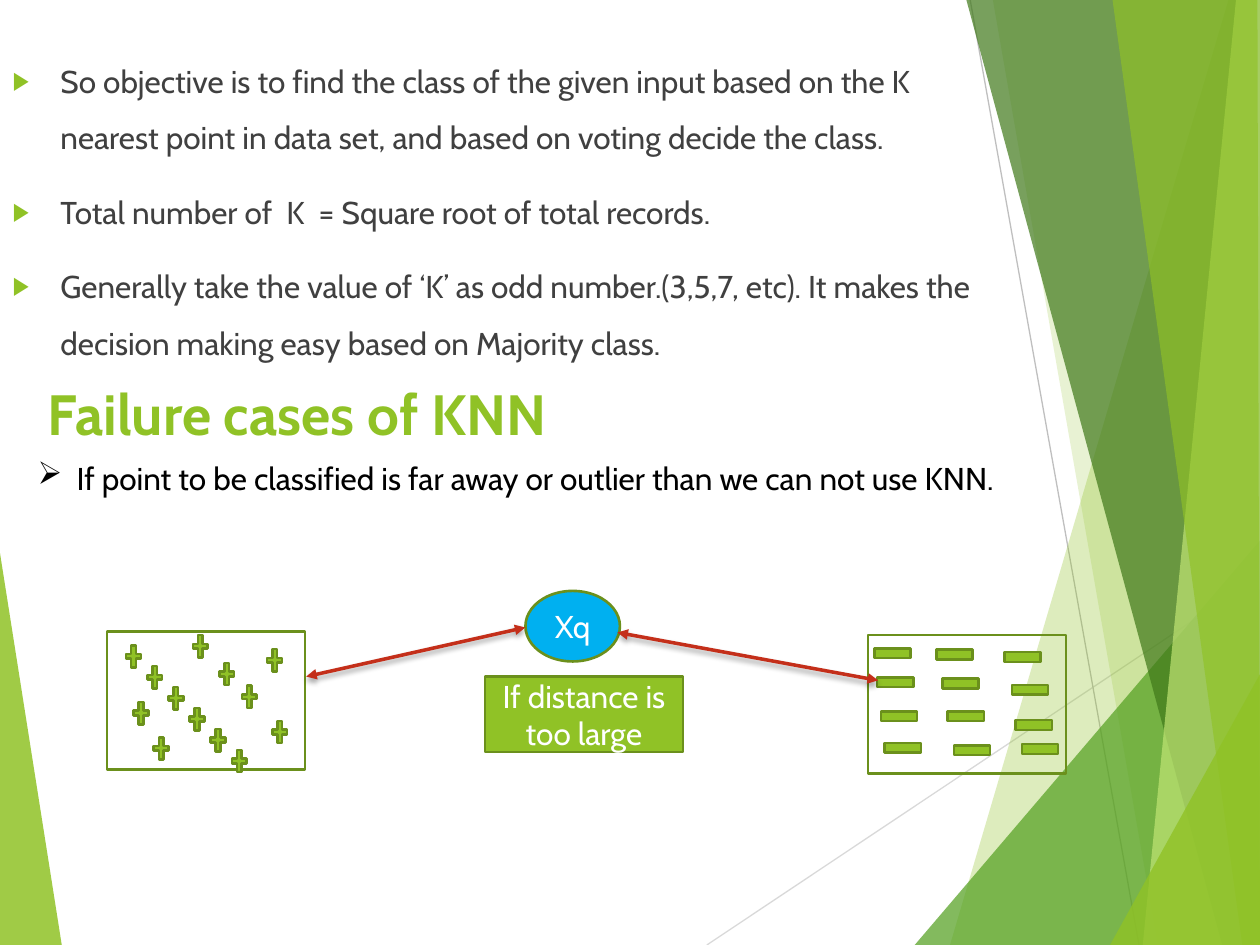
from dataclasses import dataclass
from typing import Optional

import pptx
import pptx.dml.color
import pptx.enum.shapes
import pptx.enum.text
import pptx.oxml
import pptx.oxml.ns
import pptx.util
from lxml import etree

Inches, Pt = pptx.util.Inches, pptx.util.Pt
RGBColor = pptx.dml.color.RGBColor
MSO_SHAPE = pptx.enum.shapes.MSO_SHAPE
PP_ALIGN = pptx.enum.text.PP_ALIGN
MSO_ANCHOR = pptx.enum.text.MSO_ANCHOR
qn = pptx.oxml.ns.qn

GREEN = RGBColor(0x90, 0xC2, 0x26)
LEAF = RGBColor(0x54, 0xA0, 0x21)
FOREST = RGBColor(0x3F, 0x78, 0x19)
LIME = RGBColor(0xC0, 0xE4, 0x74)
OUTLINE = RGBColor(0x6B, 0x90, 0x1C)
BLUE = RGBColor(0x00, 0xB0, 0xF0)
RED = RGBColor(0xC4, 0x2F, 0x1A)
LIGHT_GRAY = RGBColor(0xD9, 0xD9, 0xD9)
MID_GRAY = RGBColor(0xBF, 0xBF, 0xBF)
DARK_GRAY = RGBColor(0x40, 0x40, 0x40)
BLACK = RGBColor(0, 0, 0)
WHITE = RGBColor(0xFF, 0xFF, 0xFF)
FONT = "Cabin"


@dataclass
class Facet:
    points: list[tuple[float, float]]
    color: RGBColor
    opacity: int


@dataclass
class Line:
    start: tuple[float, float]
    end: tuple[float, float]
    color: RGBColor
    width: float


@dataclass
class Cluster:
    frame: tuple[float, float, float, float]
    mark: MSO_SHAPE
    mark_size: tuple[float, float]
    marks: list[tuple[float, float]]


LEFT_FACET = Facet([(0, 4.39), (0.49, 7.5), (0, 7.5)], GREEN, 85)
BACK_LINES = [
    Line((5.61, 7.5), (10, 4.57), LIGHT_GRAY, 0.75),
    Line((7.7, 0), (9.04, 7.5), MID_GRAY, 0.75),
]
RIGHT_FACETS = [
    Facet([(9.75, 0), (7.54, 7.5), (10, 7.5), (10, 0)], GREEN, 30),
    Facet([(7.88, 0), (9.19, 7.5), (10, 7.5), (10, 0)], GREEN, 20),
    Facet([(7.26, 7.5), (10, 4.29), (10, 7.5)], LEAF, 72),
    Facet([(7.67, 0), (9.7, 7.5), (10, 7.5), (10, 0)], FOREST, 70),
    Facet([(9.81, 0), (9.07, 7.5), (10, 7.5), (10, 0)], LIME, 70),
    Facet([(8.83, 0), (9.86, 7.5), (10, 7.5), (9.98, 0)], GREEN, 65),
    Facet([(8.81, 7.5), (10, 5.35), (10, 7.5)], GREEN, 80),
]
OBJECTIVES = [
    "So objective is to find the class of the given input based on the K nearest "
    "point in data set, and based on voting decide the class.",
    "Total number of  K  = Square root of total records.",
    "Generally take the value of ‘K’ as odd number.(3,5,7, etc). It makes the "
    "decision making easy based on Majority class.",
]
PLUS_DIAGONAL = [(0.98 + 0.168 * i, 5.09 + 0.166 * i) for i in range(6)]
CLUSTERS = [
    Cluster((6.89, 5.04, 1.57, 1.1), MSO_SHAPE.MATH_MINUS, (0.39, 0.33), [
        (6.89, 5.02), (7.38, 5.03), (7.92, 5.05),
        (6.91, 5.25), (7.43, 5.26), (7.98, 5.31),
        (6.94, 5.52), (7.47, 5.52), (8.01, 5.59),
        (6.97, 5.77), (7.52, 5.79), (8.06, 5.78),
    ]),
    Cluster((0.85, 5.01, 1.57, 1.1), MSO_SHAPE.MATH_PLUS, (0.16, 0.24), PLUS_DIAGONAL + [
        (1.51, 5.01), (1.72, 5.23), (1.9, 5.41), (2.14, 5.69),
        (1.04, 5.54), (1.2, 5.82), (2.1, 5.12),
    ]),
]
DISTANCE_ARROWS = [
    Line((2.43, 5.37), (4.17, 4.98), RED, 2),
    Line((4.9, 5.02), (6.97, 5.4), RED, 2),
]


def place(sp, left: float, top: float, width: float, height: float) -> None:
    sp.left, sp.top = Inches(left), Inches(top)
    sp.width, sp.height = Inches(width), Inches(height)


def add_run(p, text: str, color: RGBColor, size: float = 18, bold: bool = False) -> None:
    r = p.add_run()
    r.text = text
    r.font.name, r.font.size, r.font.bold = FONT, Pt(size), bold
    r.font.color.rgb = color


def set_bullet(p, char: str, indent: float, color: Optional[RGBColor] = None,
               percent: int = 100) -> None:
    pPr = p._p.get_or_add_pPr()
    pPr.set("marL", str(Inches(indent)))
    pPr.set("indent", str(-Inches(indent)))
    if color is not None:
        clr = etree.SubElement(pPr, qn("a:buClr"))
        etree.SubElement(clr, qn("a:srgbClr"), val=str(color))
    etree.SubElement(pPr, qn("a:buSzPct"), val=str(percent * 1000))
    etree.SubElement(pPr, qn("a:buChar"), char=char)


def add_facet(shapes, facet: Facet) -> None:
    points = [(Inches(x), Inches(y)) for x, y in facet.points]
    builder = shapes.build_freeform(*points[0])
    builder.add_line_segments(points[1:])
    sp = builder.convert_to_shape()
    sp.shadow.inherit = False
    sp.line.fill.background()
    sp.fill.solid()
    sp.fill.fore_color.rgb = facet.color
    clr = sp._element.spPr.find(".//" + qn("a:srgbClr"))
    etree.SubElement(clr, qn("a:alpha"), val=str(facet.opacity * 1000))


def add_line(shapes, line: Line, arrows: bool = False) -> None:
    ends = [Inches(v) for v in line.start + line.end]
    sp = shapes.add_connector(pptx.enum.shapes.MSO_CONNECTOR.STRAIGHT, *ends)
    sp.line.color.rgb = line.color
    sp.line.width = Pt(line.width)
    effects = etree.SubElement(sp._element.spPr, qn("a:effectLst"))
    if arrows:
        for end in ("a:headEnd", "a:tailEnd"):
            etree.SubElement(sp.line._get_or_add_ln(), qn(end), type="triangle")
        shadow = etree.SubElement(effects, qn("a:outerShdw"), blurRad=str(Pt(3)),
                                  dist=str(Pt(2)), dir="5400000", rotWithShape="0")
        clr = etree.SubElement(shadow, qn("a:srgbClr"), val=str(BLACK))
        etree.SubElement(clr, qn("a:alpha"), val="35000")


def add_figure(shapes, kind: MSO_SHAPE, box: tuple[float, float, float, float],
               fill: Optional[RGBColor] = None, text: str = "") -> None:
    sp = shapes.add_shape(kind, *[Inches(v) for v in box])
    sp.shadow.inherit = False
    sp.line.color.rgb = OUTLINE
    sp.line.width = Pt(1.5)
    if fill is None:
        sp.fill.background()
    else:
        sp.fill.solid()
        sp.fill.fore_color.rgb = fill
    if text:
        tf = sp.text_frame
        tf.word_wrap = True
        tf.vertical_anchor = MSO_ANCHOR.MIDDLE
        tf.paragraphs[0].alignment = PP_ALIGN.CENTER
        add_run(tf.paragraphs[0], text, WHITE)


def main() -> None:
    prs = pptx.Presentation()
    prs.slide_width, prs.slide_height = Inches(10), Inches(7.5)
    s = prs.slides.add_slide(prs.slide_layouts[1])
    shapes = s.shapes
    title, body = shapes.title, s.placeholders[1]

    # Background facets, kept behind the placeholders
    add_facet(shapes, LEFT_FACET)
    for line in BACK_LINES:
        add_line(shapes, line)
    for facet in RIGHT_FACETS:
        add_facet(shapes, facet)
    for sp in (body, title):
        shapes._spTree.append(sp._element)

    # Objective list
    place(body, 0, 0.29, 8.03, 2.91)
    tf = body.text_frame
    tf.auto_size = pptx.enum.text.MSO_AUTO_SIZE.NONE
    for i, text in enumerate(OBJECTIVES):
        p = tf.add_paragraph() if i else tf.paragraphs[0]
        set_bullet(p, "▶", 0.38, GREEN, 80)
        p.line_spacing = 1.5
        p.space_before = Pt(10 if i else 0)
        add_run(p, text, DARK_GRAY)

    # Title and failure case
    place(title, 0.28, 2.96, 4.8, 0.79)
    tf = title.text_frame
    tf.auto_size = pptx.enum.text.MSO_AUTO_SIZE.NONE
    tf.vertical_anchor = MSO_ANCHOR.TOP
    tf.paragraphs[0].alignment = PP_ALIGN.LEFT
    add_run(tf.paragraphs[0], "Failure cases of KNN", GREEN, 32.4, True)

    sp = shapes.add_textbox(Inches(0.2), Inches(3.59), Inches(7.95), Inches(0.71))
    sp.text_frame.word_wrap = True
    p = sp.text_frame.paragraphs[0]
    set_bullet(p, "➢", 0.31)
    add_run(p, "If point to be classified is far away or outlier than we can not use KNN.", BLACK)

    # Clusters of negative and positive points
    for cluster in CLUSTERS:
        add_figure(shapes, MSO_SHAPE.RECTANGLE, cluster.frame)
        for mark in cluster.marks:
            add_figure(shapes, cluster.mark, mark + cluster.mark_size, GREEN)

    # Query point and its distances
    add_figure(shapes, MSO_SHAPE.OVAL, (4.17, 4.69, 0.75, 0.56), BLUE, "Xq")
    for arrow in DISTANCE_ARROWS:
        add_line(shapes, arrow, arrows=True)
    add_figure(shapes, MSO_SHAPE.RECTANGLE, (3.85, 5.37, 1.57, 0.6), GREEN,
               "If distance is too large")

    prs.save("out.pptx")


if __name__ == "__main__":
    main()
